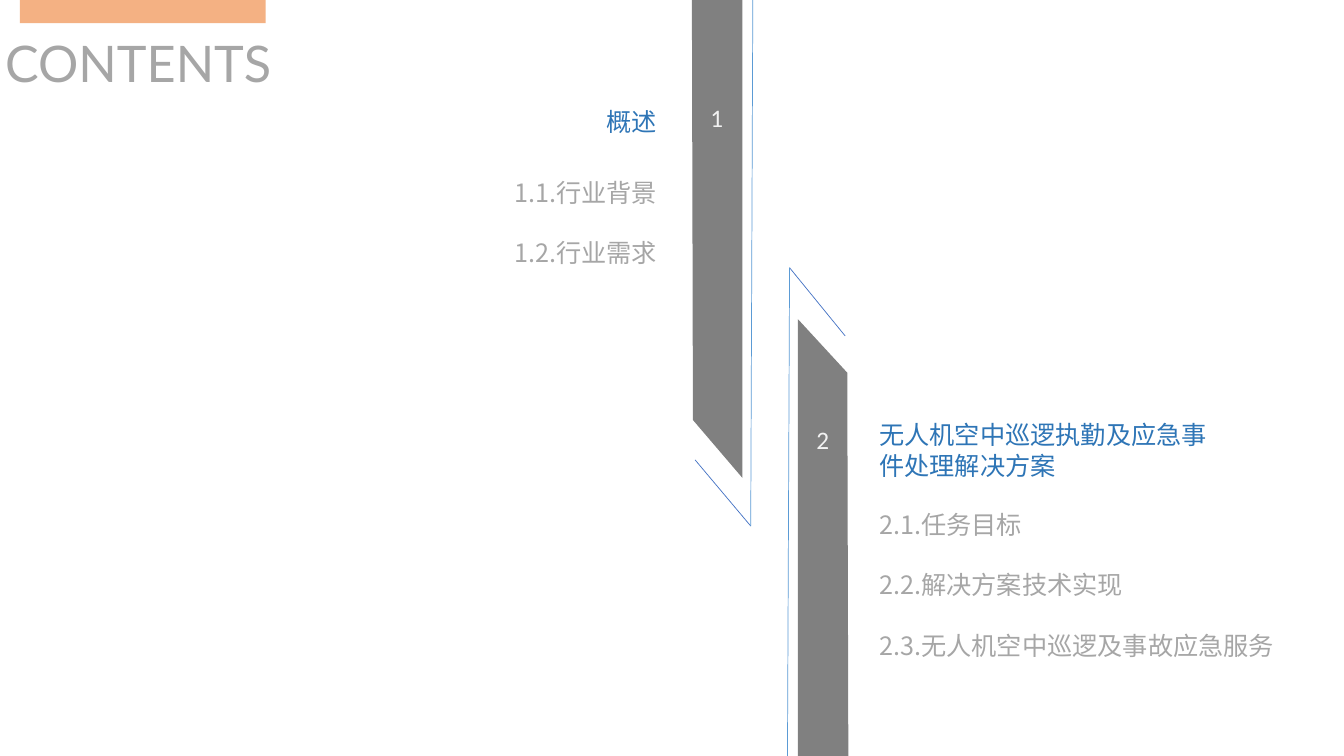
import pptx
import pptx.dml.color
import pptx.enum.shapes
import pptx.enum.text
import pptx.oxml.ns
import pptx.util
from lxml import etree

PX = 9525  # EMU in one px
WIDTH, HEIGHT = 1280, 720

RGBColor = pptx.dml.color.RGBColor
GREY = RGBColor(0xA6, 0xA6, 0xA6)
HEADING_BLUE = RGBColor(0x2E, 0x75, 0xB6)
BAND_GREY = RGBColor(0x80, 0x80, 0x80)
NUMBER_WHITE = RGBColor(0xF2, 0xF2, 0xF2)
DARK_LINE = RGBColor(0x44, 0x72, 0xC4)
LIGHT_LINE = RGBColor(0x5B, 0x9B, 0xD5)
ORANGE = RGBColor(0xF4, 0xB1, 0x83)

CHINESE_FONT = "Noto Sans CJK SC"
LINE_PITCH = pptx.util.Pt(21.6)
LEFT = pptx.enum.text.PP_ALIGN.LEFT
RIGHT = pptx.enum.text.PP_ALIGN.RIGHT


def px(*lengths):
    return [pptx.util.Emu(length * PX) for length in lengths]


def add_text(page, place, lines, color, font=CHINESE_FONT, size=18, align=LEFT, wrap=True):
    """Add a text box with one paragraph per line, a free line apart."""
    box = page.shapes.add_textbox(*px(*place))
    frame = box.text_frame
    frame.word_wrap = wrap
    frame.text = "\n".join(lines)
    for index, para in enumerate(frame.paragraphs):
        para.alignment = align
        if font == CHINESE_FONT:
            para.line_spacing = LINE_PITCH
        if index:
            para.space_before = LINE_PITCH
        for span in para.runs:
            span.font.size = pptx.util.Pt(size)
            span.font.name = font
            span.font.color.rgb = color
            east_asian = etree.SubElement(span.font._element, pptx.oxml.ns.qn("a:ea"))
            east_asian.set("typeface", CHINESE_FONT)
    return box


def paint(shape, color):
    shape.shadow.inherit = False
    shape.fill.solid()
    shape.fill.fore_color.rgb = color
    shape.line.fill.background()


def add_band(page, points):
    builder = page.shapes.build_freeform(*points[0], scale=PX)
    builder.add_line_segments(points[1:], close=True)
    paint(builder.convert_to_shape(), BAND_GREY)


def add_line(page, start, end, color):
    line = page.shapes.add_connector(
        pptx.enum.shapes.MSO_CONNECTOR.STRAIGHT, *px(*start, *end))
    line.line.color.rgb = color
    line.line.width = pptx.util.Pt(0.5)
    etree.SubElement(line._element.spPr, pptx.oxml.ns.qn("a:effectLst"))


def main():
    deck = pptx.Presentation()
    deck.slide_width, deck.slide_height = px(WIDTH, HEIGHT)
    page = deck.slides.add_slide(deck.slide_layouts[6])

    # Title
    title = add_text(page, (0, 26, 410, 74), ["CONTENTS"], GREY, font="Lato", size=36)
    title.text_frame.margin_left = px(5)[0]

    # Chapter texts
    add_text(page, (327, 97, 308, 69), ["概述"], HEADING_BLUE, align=RIGHT)
    add_text(page, (327, 164, 308, 213), ["1.1.行业背景", "1.2.行业需求"], GREY, align=RIGHT)
    add_text(page, (828, 395, 341, 127),
             ["无人机空中巡逻执勤及应急事件处理解决方案"], HEADING_BLUE)
    add_text(page, (828, 480, 452, 240),
             ["2.1.任务目标", "2.2.解决方案技术实现", "2.3.无人机空中巡逻及事故应急服务"], GREY)

    # Slanted bands with their numbers
    add_band(page, [(659, 0), (707, 0), (707, 455), (660, 400)])
    add_band(page, [(808, HEIGHT), (760, HEIGHT), (760, 304), (807, 355)])
    for number, left, top in (("1", 667, 93), ("2", 768, 399)):
        add_text(page, (left, top, 32, 38), [number], NUMBER_WHITE, font="Calibri", wrap=False)

    # Thin outlines beside the bands
    lower_tip, upper_tip = (715, 501), (752, 255)
    add_line(page, (662, 438), lower_tip, DARK_LINE)
    add_line(page, (717, 0), lower_tip, LIGHT_LINE)
    add_line(page, (805, 320), upper_tip, DARK_LINE)
    add_line(page, (750, HEIGHT), upper_tip, LIGHT_LINE)

    # Accent above the title
    accent = page.shapes.add_shape(
        pptx.enum.shapes.MSO_SHAPE.RECTANGLE, *px(19, 0, 234, 22))
    paint(accent, ORANGE)

    deck.save("out.pptx")


if __name__ == "__main__":
    main()
